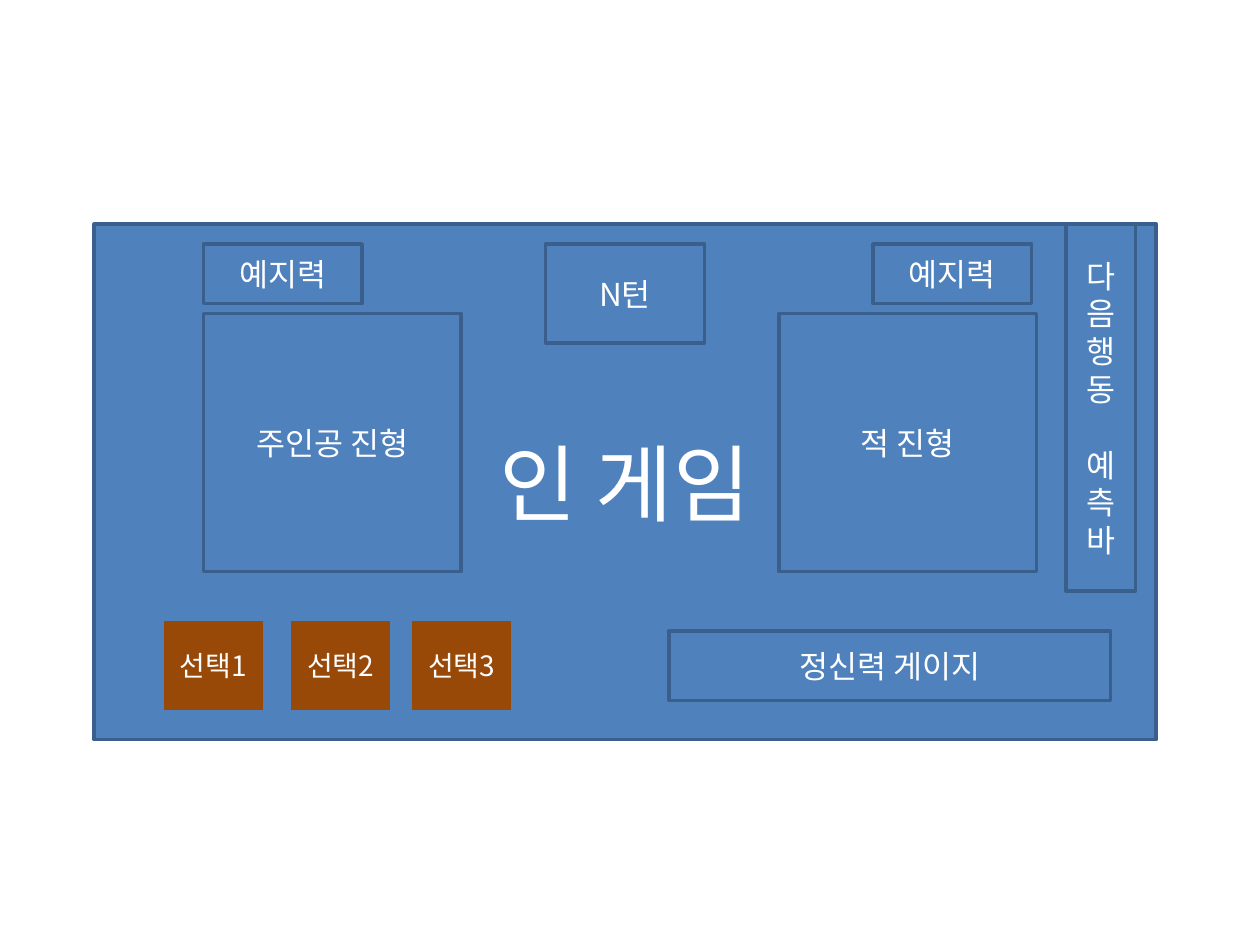
"""Builds the wireframe of an in-game battle screen."""
from pptx import Presentation
from pptx import util as u
from pptx.dml.color import RGBColor
from pptx.enum import shapes, text
from pptx.oxml.ns import qn
from lxml import etree

FONT = "Noto Sans CJK KR"
RECT = shapes.MSO_SHAPE.RECTANGLE
PROCESS = shapes.MSO_SHAPE.FLOWCHART_PROCESS


def color(hex_value):
    return RGBColor.from_string(hex_value)


def add_panel(kind, left, top, width, height, label, size=18, fill="4F81BD", line="3A5F8C"):
    panel = screen.shapes.add_shape(kind, u.Cm(left), u.Cm(top), u.Cm(width), u.Cm(height))
    panel.shadow.inherit = False
    panel.fill.solid()
    panel.fill.fore_color.rgb = color(fill)
    if line:
        panel.line.color.rgb = color(line)
        panel.line.width = u.Pt(2)
    else:
        panel.line.fill.background()
    frame = panel.text_frame
    frame.word_wrap = True
    frame.vertical_anchor = text.MSO_ANCHOR.MIDDLE
    frame.text = label
    for paragraph in frame.paragraphs:
        paragraph.alignment = text.PP_ALIGN.CENTER
        font = paragraph.font
        font.name, font.size = FONT, u.Pt(size)
        font.color.rgb = color("FFFFFF")
        defaults = paragraph._p.pPr.find(qn("a:defRPr"))
        etree.SubElement(defaults, qn("a:ea")).set("typeface", FONT)
    return panel


deck = Presentation()
deck.slide_width, deck.slide_height = u.Cm(25.4), u.Cm(19.05)
slide = deck.slides.add_slide(deck.slide_layouts[6])
screen = slide.shapes.add_group_shape()

add_panel(RECT, 1.9, 4.52, 21.41, 10.39, "인 게임", size=48)

for number, left in enumerate((3.3, 5.87, 8.31), start=1):
    add_panel(PROCESS, left, 12.52, 2, 1.8, f"선택{number}", size=16, fill="984807", line=None)

for formation, left, foresight_left in (("주인공 진형", 4.1, 4.1), ("적 진형", 15.7, 17.6)):
    add_panel(RECT, left, 6.32, 5.2, 5.2, formation)
    add_panel(RECT, foresight_left, 4.92, 3.2, 1.2, "예지력")

forecast = add_panel(PROCESS, 21.49, 4.52, 1.4, 7.4, "다\n음\n행\n동\n예측바")
for syllable in forecast.text_frame.paragraphs:
    syllable.line_spacing = u.Pt(21.6)
syllable.space_before = u.Pt(21.6)

add_panel(PROCESS, 13.49, 12.72, 8.9, 1.4, "정신력 게이지")
add_panel(PROCESS, 11, 4.92, 3.2, 2, "N턴")

deck.save("out.pptx")
